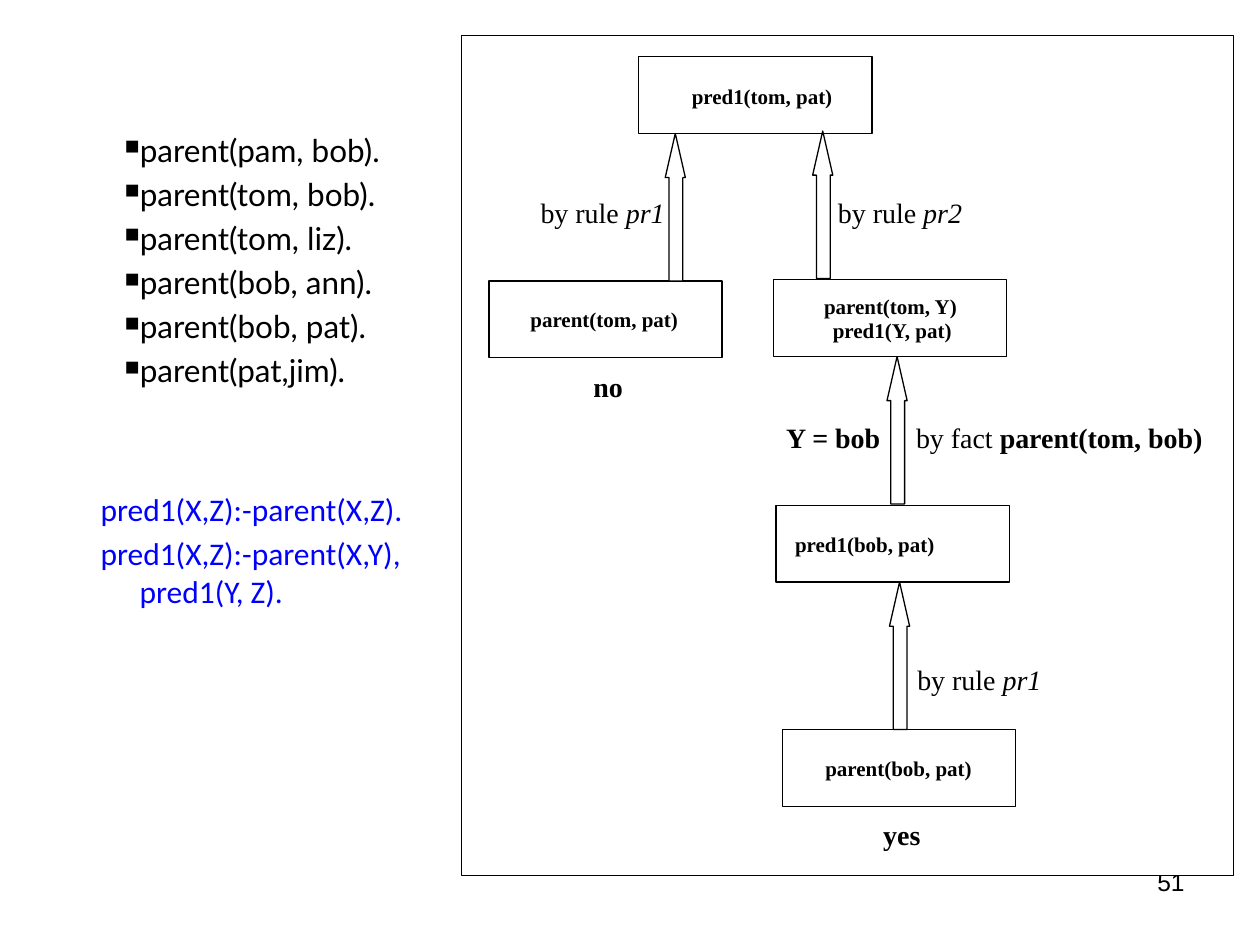
from lxml import etree
from pptx import Presentation
from pptx.dml.color import RGBColor
from pptx.enum.shapes import MSO_SHAPE
from pptx.enum.text import MSO_ANCHOR, PP_ALIGN
from pptx.oxml.ns import qn
from pptx.util import Inches, Pt

RECTANGLE = MSO_SHAPE.RECTANGLE
TOP = MSO_ANCHOR.TOP
LEFT, RIGHT = PP_ALIGN.LEFT, PP_ALIGN.RIGHT
COLORS = {"black": "000000", "white": "FFFFFF", "rule": "0000FF"}
SERIF = "Times New Roman"
BOX_SIZE = (1.85, 0.61)

FACTS = ["parent(pam, bob).", "parent(tom, bob).", "parent(tom, liz).",
         "parent(bob, ann).", "parent(bob, pat).", "parent(pat,jim)."]
RULES = ["pred1(X,Z):-parent(X,Z).", "pred1(X,Z):-parent(X,Y),\vpred1(Y, Z)."]

GOAL_BOXES = [(5.07, 0.45), (3.88, 2.23), (6.14, 2.22), (6.16, 4.01), (6.21, 5.79)]
GOALS = [
    (5.49, 0.66, 1.12, "pred1(tom, pat)"),
    (4.21, 2.43, 1.25, "parent(tom, pat)"),
    (6.54, 2.33, 1.14, "parent(tom, Y)"),
    (6.61, 2.52, 0.96, "pred1(Y, pat)"),
    (6.31, 4.22, 1.11, "pred1(bob, pat)"),
    (6.55, 6.0, 1.25, "parent(bob, pat)"),
]
ARROWS = [(5.36, 1.06), (6.53, 1.04), (7.12, 2.83), (7.14, 4.62)]
LABELS = [
    (4.29, 1.55, 1.05, [("by rule ", ""), ("pr1", "italic")]),
    (6.65, 1.55, 1.05, [("by rule ", ""), ("pr2", "italic")]),
    (7.28, 5.26, 1.05, [("by rule ", ""), ("pr1", "italic")]),
    (7.27, 3.34, 2.32, [("by fact ", ""), ("parent(tom, bob)", "bold")]),
    (6.24, 3.34, 0.83, [("Y = bob", "bold")]),
    (4.71, 2.93, 0.32, [("no", "bold")]),
    (7.01, 6.49, 0.38, [("yes", "bold")]),
]


def rgb(name):
    return RGBColor.from_string(COLORS[name])


def style_run(run, font, size, color="black", style=""):
    run.font.name = font
    run.font.size = Pt(size)
    run.font.color.rgb = rgb(color)
    run.font.bold = style == "bold"
    run.font.italic = style == "italic"


def outline(shape, width=0.75):
    shape.shadow.inherit = False
    shape.fill.solid()
    shape.fill.fore_color.rgb = rgb("white")
    shape.line.color.rgb = rgb("black")
    shape.line.width = Pt(width)


def add_box(slide, left, top, width, height, line_width=0.75):
    box = slide.shapes.add_shape(
        RECTANGLE, Inches(left), Inches(top), Inches(width), Inches(height))
    outline(box, line_width)


def add_arrow(slide, center, top):
    points = [(-0.05, 1.17), (-0.05, 0.35), (-0.08, 0.35), (0, 0),
              (0.08, 0.35), (0.06, 0.35), (0.06, 1.17)]
    corners = [(Inches(center + x), Inches(top + y)) for x, y in points]
    builder = slide.shapes.build_freeform(*corners[0])
    builder.add_line_segments(corners[1:], close=True)
    outline(builder.convert_to_shape())


def add_label(slide, left, top, width, runs, size):
    label = slide.shapes.add_textbox(
        Inches(left), Inches(top), Inches(width), Inches(size / 54))
    frame = label.text_frame
    frame.word_wrap = False
    frame.margin_left = frame.margin_right = 0
    frame.margin_top = frame.margin_bottom = 0
    for text, style in runs:
        run = frame.paragraphs[0].add_run()
        run.text = text
        style_run(run, SERIF, size, style=style)


def add_paragraphs(slide, position, lines, font, size, color="black",
                   alignment=LEFT, space=0):
    box = slide.shapes.add_textbox(*(Inches(value) for value in position))
    frame = box.text_frame
    frame.word_wrap = True
    frame.vertical_anchor = TOP
    frame.text = "\n".join(lines)
    for paragraph in frame.paragraphs:
        paragraph.alignment = alignment
        paragraph.space_before = Pt(space)
        for run in paragraph.runs:
            style_run(run, font, size, color)
    return frame.paragraphs


def add_bullet(paragraph):
    properties = paragraph._p.get_or_add_pPr()
    etree.SubElement(properties, qn("a:buSzPct")).set("val", "65000")
    etree.SubElement(properties, qn("a:buChar")).set("char", "■")


def set_indent(paragraph, margin, indent):
    properties = paragraph._p.get_or_add_pPr()
    properties.set("marL", str(Inches(margin)))
    properties.set("indent", str(Inches(indent)))


def add_program(slide):
    rules = add_paragraphs(slide, (0.2, 3.84, 3.47, 1.81), RULES, "Calibri", 18,
                           color="rule", space=3.6)
    for paragraph in rules:
        set_indent(paragraph, 0.81, -0.31)
    facts = add_paragraphs(slide, (0.89, 0.99, 5, 2.21), FACTS, "Lato", 18, space=3.6)
    for paragraph in facts:
        add_bullet(paragraph)


def add_proof_tree(slide):
    add_box(slide, 3.66, 0.28, 6.13, 6.67, 0.13)
    for left, top in GOAL_BOXES:
        add_box(slide, left, top, *BOX_SIZE)
    for center, top in ARROWS:
        add_arrow(slide, center, top)
    for left, top, width, text in GOALS:
        add_label(slide, left, top, width, [(text, "bold")], 12)
    for left, top, width, runs in LABELS:
        add_label(slide, left, top, width, runs, 16)


def main():
    presentation = Presentation()
    presentation.slide_width = Inches(10)
    presentation.slide_height = Inches(7.5)
    slide = presentation.slides.add_slide(presentation.slide_layouts[6])
    add_paragraphs(slide, (7.17, 6.83, 2.33, 0.52), ["51"], "Arial", 14, alignment=RIGHT)
    add_program(slide)
    add_proof_tree(slide)
    presentation.save("out.pptx")


main()
